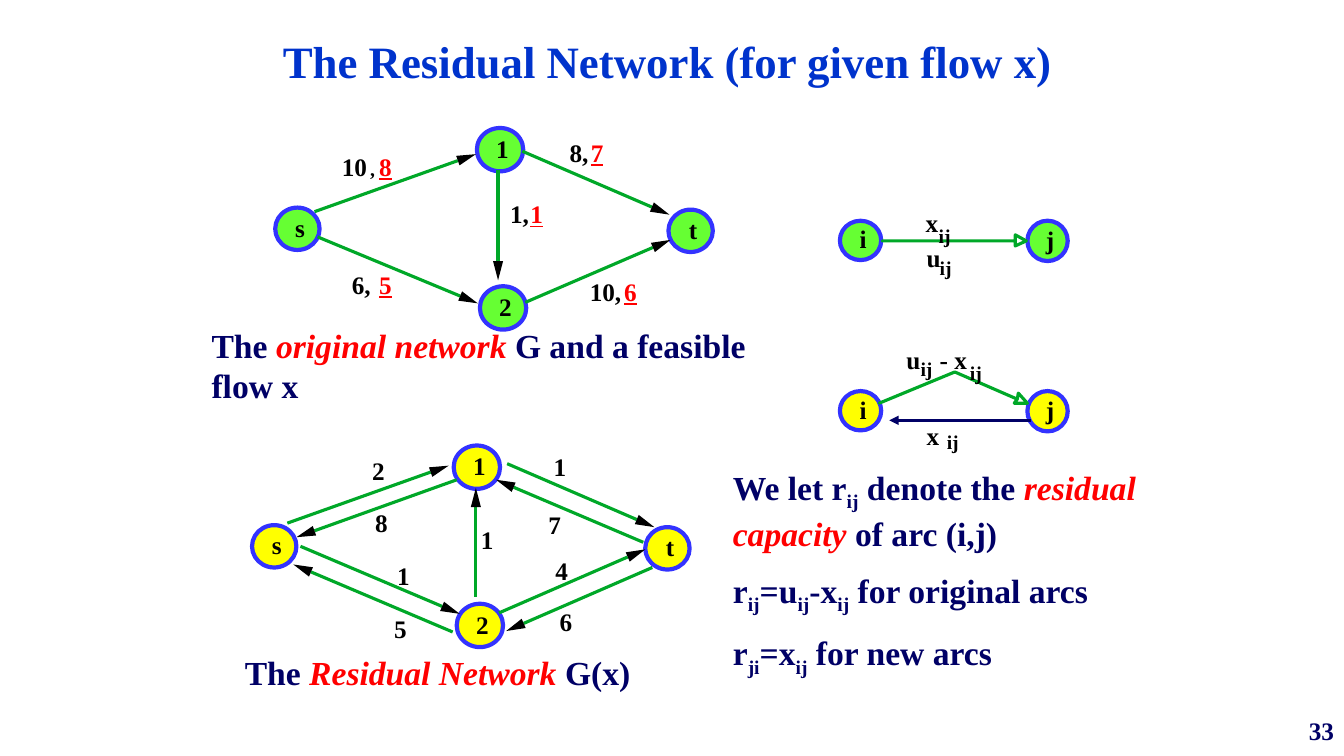
from math import hypot
from lxml import etree
from pptx import Presentation
from pptx.dml.color import RGBColor
from pptx.enum.shapes import MSO_CONNECTOR, MSO_SHAPE
from pptx.enum.text import MSO_ANCHOR, MSO_AUTO_SIZE, PP_ALIGN
from pptx.oxml.ns import qn
from pptx.util import Inches, Pt

STRAIGHT, OVAL = MSO_CONNECTOR.STRAIGHT, MSO_SHAPE.OVAL
TOP, MIDDLE, BOTTOM = MSO_ANCHOR.TOP, MSO_ANCHOR.MIDDLE, MSO_ANCHOR.BOTTOM
LEFT, CENTER, RIGHT = PP_ALIGN.LEFT, PP_ALIGN.CENTER, PP_ALIGN.RIGHT
NO_FIT = MSO_AUTO_SIZE.NONE

FONT = "Times New Roman"
BLACK, RED, NAVY, TITLE_BLUE = "000000", "FF0000", "000066", "0033CC"
NODE_BLUE, ARC_GREEN, LIME, YELLOW = "3333FF", "00A828", "66FF33", "FFFF00"

PLAIN = {}
EMPHASIS = {"color": RED, "italic": True}
FLOW = {"color": RED, "underline": True}
SUBSCRIPT = {"baseline": "-25000"}

hex_color = RGBColor.from_string


def write_text(frame, paragraphs, size, color, align=LEFT, anchor=TOP, wrap=True,
               margins=(0.1, 0.05, 0.1, 0.05), space=0):
    left, top, right, bottom = map(Inches, margins)
    settings = {"auto_size": NO_FIT, "word_wrap": wrap, "vertical_anchor": anchor,
                "margin_left": left, "margin_top": top,
                "margin_right": right, "margin_bottom": bottom}
    for name, value in settings.items():
        setattr(frame, name, value)
    for index, runs in enumerate(paragraphs):
        paragraph = frame.add_paragraph() if index else frame.paragraphs[0]
        paragraph.alignment = align
        paragraph.space_before = Pt(space if index else 0)
        for text, style in runs:
            run = paragraph.add_run()
            run.text = text
            font_values = {"name": FONT, "size": Pt(size), "bold": True,
                           "italic": style.get("italic", False),
                           "underline": style.get("underline", False)}
            for name, value in font_values.items():
                setattr(run.font, name, value)
            run.font.color.rgb = hex_color(style.get("color", color))
            if "baseline" in style:
                run._r.get_or_add_rPr().set("baseline", style["baseline"])


presentation = Presentation()
presentation.slide_width, presentation.slide_height = Inches(13.33), Inches(7.5)
slide = presentation.slides.add_slide(presentation.slide_layouts[5])
shapes = slide.shapes

title = shapes.title
title.left, title.top, title.width, title.height = map(Inches, (1.83, 0.34, 9.58, 0.58))
write_text(title.text_frame, [[("The Residual Network (for given flow x)", PLAIN)]],
           32, TITLE_BLUE, CENTER, BOTTOM)

network_nodes = [("s", 2.73, 2.06, 0.44, 0.42), ("1", 4.73, 1.27, 0.46, 0.43),
                 ("2", 4.76, 2.84, 0.46, 0.43), ("t", 6.63, 2.08, 0.44, 0.42)]
legend_nodes = [("i", 8.33, 2.19, 0.41, 0.39), ("j", 10.19, 2.19, 0.4, 0.4)]
node_groups = [(network_nodes, 0, 0, LIME), (network_nodes, -0.23, 3.15, YELLOW),
               (legend_nodes, 0, 0, LIME), (legend_nodes, 0, 1.69, YELLOW)]
for nodes, shift_x, shift_y, fill in node_groups:
    for name, left, top, width, height in nodes:
        node = shapes.add_shape(OVAL, Inches(left + shift_x), Inches(top + shift_y),
                                Inches(width), Inches(height))
        node.shadow.inherit = False
        node.fill.solid()
        node.fill.fore_color.rgb = hex_color(fill)
        node.line.color.rgb = hex_color(NODE_BLUE)
        node.line.width = Pt(3)
        write_text(node.text_frame, [[(name, PLAIN)]], 18, BLACK, CENTER, MIDDLE, False,
                   (0.05, 0, 0, 0.03))

arcs = [
    (3.12, 2.1, 4.72, 1.53), (3.15, 2.35, 4.74, 3.01), (5.18, 1.5, 6.64, 2.13),
    (5.21, 3, 6.65, 2.38), (4.94, 1.69, 4.94, 2.78),
    (2.85, 5.19, 4.45, 4.62), (2.98, 5.42, 4.56, 6.09), (5.03, 4.6, 6.49, 5.23),
    (4.95, 6.08, 6.4, 5.45), (4.72, 5.92, 4.72, 4.84), (4.53, 4.76, 2.94, 5.33),
    (6.38, 5.38, 4.92, 4.76), (6.47, 5.63, 5.02, 6.26), (4.49, 6.27, 2.91, 5.6),
]
HEAD_LENGTH, HEAD_HALF_WIDTH = 0.19, 0.05
lines = [(10.23, 4.17, 8.82, 4.17, NAVY)]
outlines = [
    ([(8.75, 2.39), (10.07, 2.39), (10.07, 2.44), (10.18, 2.39), (10.07, 2.33),
      (10.07, 2.39)], None),
    ([(8.72, 4), (9.47, 3.69), (10.09, 3.96), (10.06, 4), (10.19, 4), (10.1, 3.9),
      (10.09, 3.96), (9.47, 3.69)], None),
]
for start_x, start_y, tip_x, tip_y in arcs:
    length = hypot(tip_x - start_x, tip_y - start_y)
    unit_x, unit_y = (tip_x - start_x) / length, (tip_y - start_y) / length
    base_x, base_y = tip_x - HEAD_LENGTH * unit_x, tip_y - HEAD_LENGTH * unit_y
    side_x, side_y = -HEAD_HALF_WIDTH * unit_y, HEAD_HALF_WIDTH * unit_x
    lines.append((start_x, start_y, base_x, base_y, ARC_GREEN))
    outlines.append(([(tip_x, tip_y), (base_x + side_x, base_y + side_y),
                      (base_x - side_x, base_y - side_y)], BLACK))

for *ends, color in lines:
    connector = shapes.add_connector(STRAIGHT, *map(Inches, ends))
    connector.line.color.rgb = hex_color(color)
    connector.line.width = Pt(2.25)
    if color == NAVY:
        etree.SubElement(connector.line._get_or_add_ln(), qn("a:tailEnd"), type="triangle")
    etree.SubElement(connector._element.spPr, qn("a:effectLst"))

for points, fill in outlines:
    corners = [(Inches(x), Inches(y)) for x, y in points]
    builder = shapes.build_freeform(*corners[0])
    builder.add_line_segments(corners[1:], close=True)
    outline = builder.convert_to_shape()
    outline.shadow.inherit = False
    if fill:
        outline.fill.solid()
        outline.fill.fore_color.rgb = hex_color(fill)
        outline.line.fill.background()
    else:
        outline.fill.background()
        outline.line.color.rgb = hex_color(ARC_GREEN)
        outline.line.width = Pt(2.25)

capacities = [("10", 3.39, 1.5), ("8,", 5.65, 1.36), ("1,", 5.06, 1.97),
              ("10,", 5.85, 2.74), ("6,", 3.49, 2.67)]
flows = [("8", 3.76, 1.5), ("7", 5.86, 1.36), ("1", 5.26, 1.97),
         ("6", 6.19, 2.74), ("5", 3.76, 2.67)]
residuals = [("2", 3.69, 4.52), ("1", 5.49, 4.48), ("1", 4.77, 5.2), ("4", 5.51, 5.51),
             ("1", 3.94, 5.56), ("8", 3.72, 5.03), ("5", 3.91, 6.08), ("6", 5.55, 6.02),
             ("7", 5.44, 5.05)]
variables = [("x", 9.18, 2.06), ("u", 9.19, 2.4), ("u", 8.99, 3.42), ("- x", 9.32, 3.42),
             ("x", 9.19, 4.17)]
small_marks = [(",", 3.67, 1.56), ("ij", 9.32, 2.54), ("ij", 9.31, 2.22),
               ("ij", 9.39, 4.27), ("ij", 9.62, 3.58), ("ij", 9.13, 3.54)]
glyph_widths = {"i": 0.28, "j": 0.33, ",": 0.25, "-": 0.33, " ": 0.25, "u": 0.56}
label_groups = [(capacities + residuals + variables, 18, 0.4, PLAIN),
                (flows, 18, 0.4, FLOW), (small_marks, 14, 0.24, PLAIN)]
for labels, size, height, style in label_groups:
    for text, left, top in labels:
        width = sum(glyph_widths.get(letter, 0.5) for letter in text) * size / 72
        label = shapes.add_textbox(*map(Inches, (left, top, width, height)))
        write_text(label.text_frame, [[(text, style)]], size, BLACK, wrap=False,
                   margins=(0, 0, 0, 0))

sub_ij, sub_ji = ("ij", SUBSCRIPT), ("ji", SUBSCRIPT)
captions = [
    ((2, 3.17, 5.75, 0.91),
     [[("The ", PLAIN), ("original network", EMPHASIS), (" G and a feasible flow x", PLAIN)]]),
    ((2.33, 6.42, 4.5, 0.5),
     [[("The ", PLAIN), ("Residual Network", EMPHASIS), (" G(x)", PLAIN)]]),
    ((7.17, 4.58, 4.25, 2.12),
     [[("We let r", PLAIN), sub_ij, (" denote the ", PLAIN),
       ("residual capacity", EMPHASIS), (" of arc (i,j)", PLAIN)],
      [("r", PLAIN), sub_ij, ("=u", PLAIN), sub_ij, ("-x", PLAIN), sub_ij,
       (" for original arcs", PLAIN)],
      [("r", PLAIN), sub_ji, ("=x", PLAIN), sub_ij, (" for new arcs", PLAIN)]]),
]
for box, paragraphs in captions:
    caption = shapes.add_textbox(*map(Inches, box))
    write_text(caption.text_frame, paragraphs, 24, NAVY, space=12)

page_number = shapes.add_textbox(*map(Inches, (10.77, 7, 2.56, 0.5)))
write_text(page_number.text_frame, [[("33", PLAIN)]], 18, NAVY, RIGHT, MIDDLE)

presentation.save("out.pptx")
